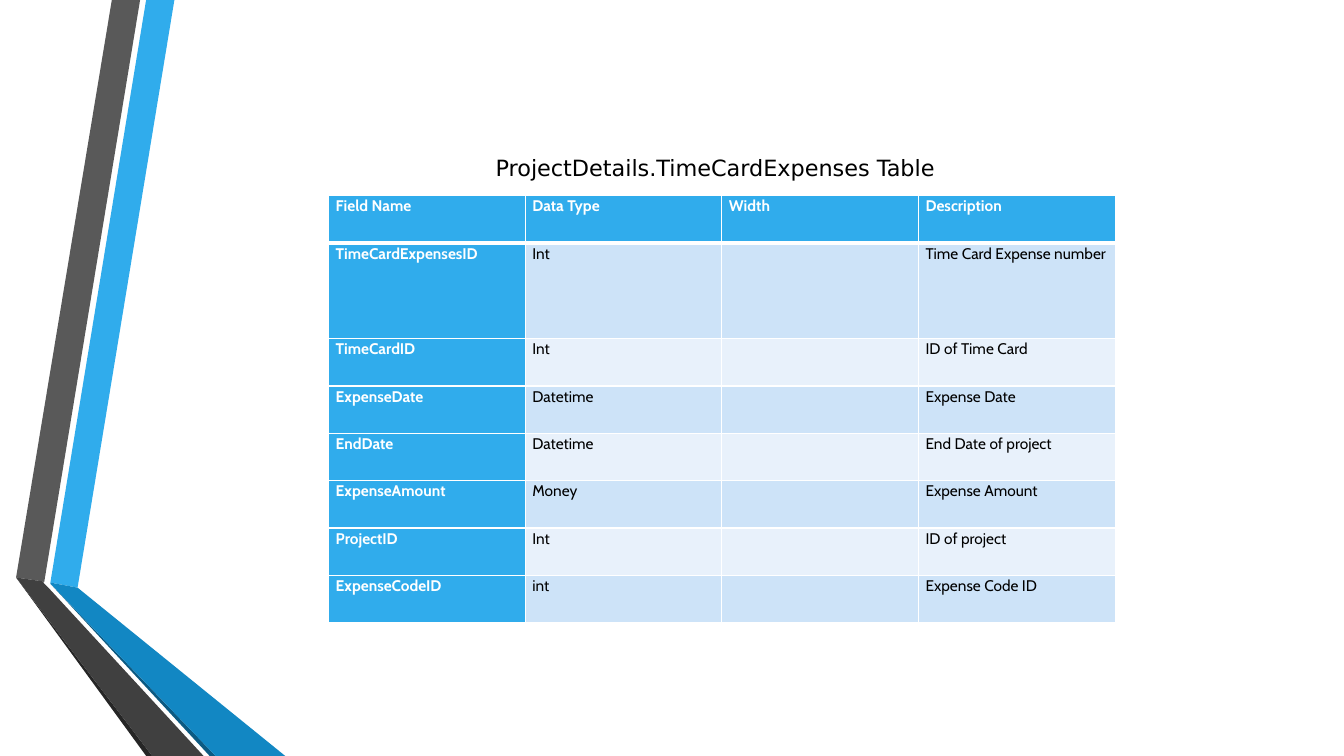
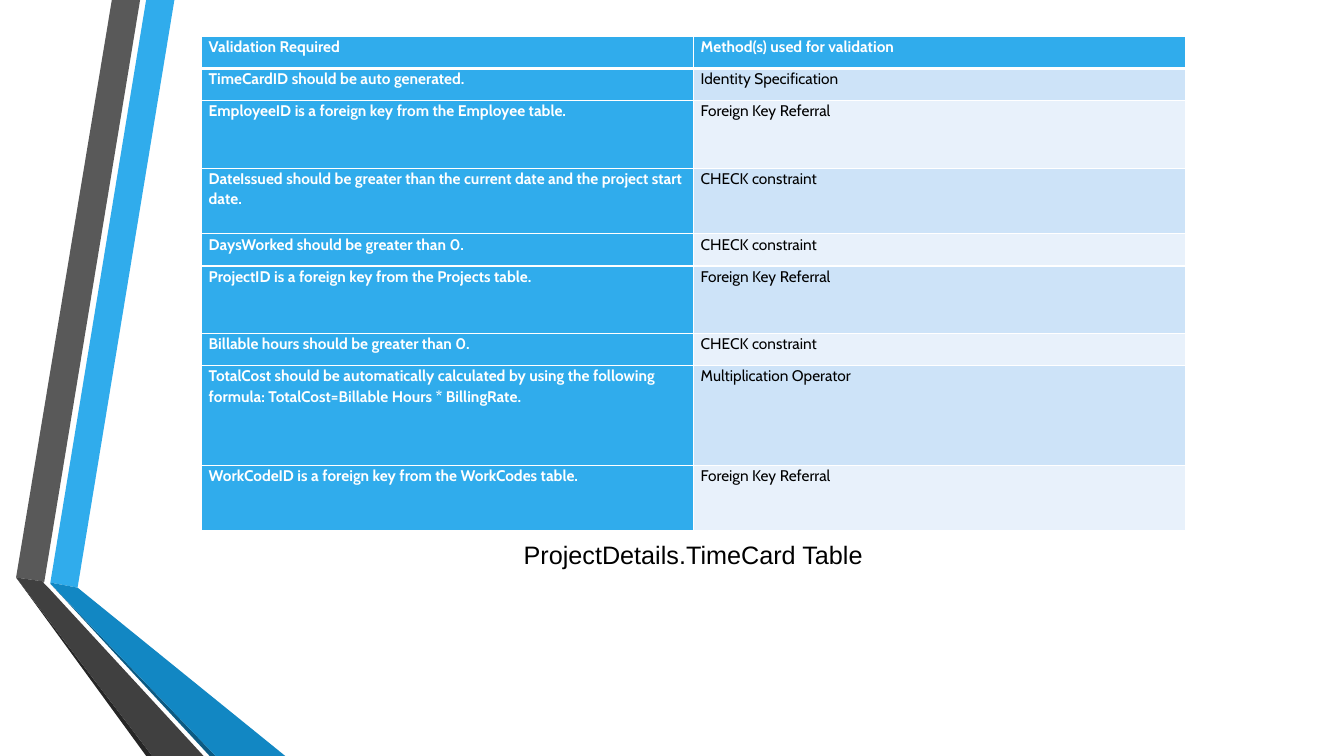
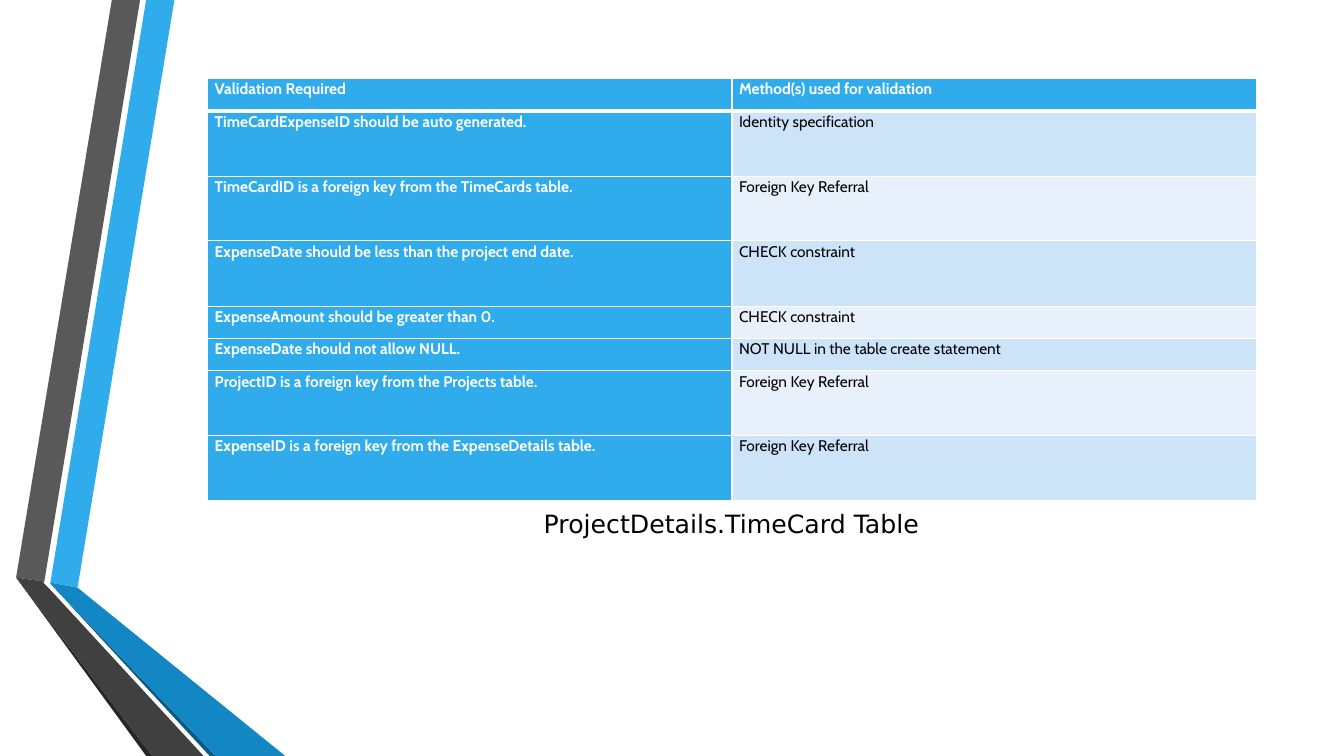
from lxml.etree import SubElement
from pptx import Presentation
from pptx.dml.color import RGBColor as RGB
from pptx.enum.text import MSO_AUTO_SIZE as AUTO, PP_ALIGN as ALIGN
from pptx.oxml.ns import qn
from pptx.util import Pt

PX = 9144
C = {
    "blue": "30ACEC", "blue_dark": "1287C3", "blue_deep": "0C5A82",
    "grey": "595959", "grey_dark": "404040", "grey_deep": "262626",
    "band_dark": "CDE3F8", "band_light": "E8F1FB",
    "white": "FFFFFF", "black": "000000",
}
RIBBONS = [
    ("blue", [(50, 578), (77, 583), (173, 0), (145, 0)]),
    ("grey", [(139, 0), (111, 0), (16, 573), (44, 577)]),
    ("grey_deep", [(16, 573), (145, 750), (151, 750)]),
    ("blue_deep", [(50, 579), (208, 750), (214, 750)]),
    ("blue_dark", [(50, 579), (214, 750), (283, 750), (77, 583), (50, 578)]),
    ("grey_dark", [(202, 750), (48, 583), (43, 578), (44, 577), (16, 573), (151, 750)]),
]
VALIDATION = ("Validation Required", "Method(s) used for validation")
FOREIGN = "Foreign Key Referral"
CHECK = "CHECK constraint"
SLIDES = [
    dict(
        title="ProjectDetails.TimeCardExpenses Table", font="DejaVu Sans", size=16,
        box=(326, 146, 767, 36), at=(326, 194), col=195,
        heights=[47, 95, 47, 47, 47, 47, 47, 47],
        rows=[
            ("Field Name", "Data Type", "Width", "Description"),
            ("TimeCardExpensesID", "Int", "", "Time Card Expense number"),
            ("TimeCardID", "Int", "", "ID of Time Card"),
            ("ExpenseDate", "Datetime", "", "Expense Date"),
            ("EndDate", "Datetime", "", "End Date of project"),
            ("ExpenseAmount", "Money", "", "Expense Amount"),
            ("ProjectID", "Int", "", "ID of project"),
            ("ExpenseCodeID", "int", "", "Expense Code ID"),
        ],
    ),
    dict(
        title="ProjectDetails.TimeCard Table", font="Arial", size=18,
        box=(200, 528, 975, 41), at=(200, 36), col=488,
        heights=[32, 32, 67, 65, 32, 67, 32, 99, 65],
        rows=[
            VALIDATION,
            ("TimeCardID should be auto generated.", "Identity Specification"),
            ("EmployeeID is a foreign key from the Employee table.", FOREIGN),
            ("DateIssued should be greater than the current date and the project start date.", CHECK),
            ("DaysWorked should be greater than 0.", CHECK),
            ("ProjectID is a foreign key from the Projects table.", FOREIGN),
            ("Billable hours should be greater than 0.", CHECK),
            ("TotalCost should be automatically calculated by using the following formula: "
             "TotalCost=Billable Hours * BillingRate.", "Multiplication Operator"),
            ("WorkCodeID is a foreign key from the WorkCodes table.", FOREIGN),
        ],
    ),
    dict(
        title="ProjectDetails.TimeCard Table", font="DejaVu Sans", size=18,
        box=(206, 497, 1039, 41), at=(206, 78), col=520,
        heights=[32, 65, 64, 65, 32, 32, 64, 65],
        rows=[
            VALIDATION,
            ("TimeCardExpenseID should be auto generated.", "Identity specification"),
            ("TimeCardID is a foreign key from the TimeCards table.", FOREIGN),
            ("ExpenseDate should be less than the project end date.", CHECK),
            ("ExpenseAmount should be greater than 0.", CHECK),
            ("ExpenseDate should not allow NULL.", "NOT NULL in the table create statement"),
            ("ProjectID is a foreign key from the Projects table.", FOREIGN),
            ("ExpenseID is a foreign key from the ExpenseDetails table.", FOREIGN),
        ],
    ),
]


def write(tf, text, font="Cabin", size=11, color="black", bold=False, align=ALIGN.LEFT, after=0):
    p = tf.paragraphs[0]
    p.alignment = align
    p.line_spacing = 1.07
    p.space_after = Pt(after)
    r = p.add_run()
    r.text = text
    r.font.name = font
    r.font.size = Pt(size)
    r.font.bold = bold
    r.font.color.rgb = RGB.from_string(C[color])


def border(cell, side, width):
    ln = SubElement(cell._tc.get_or_add_tcPr(), qn("a:ln" + side), w=str(Pt(width)))
    fill = SubElement(ln, qn("a:solidFill"))
    SubElement(fill, qn("a:srgbClr"), val=C["white"])


prs = Presentation()
prs.slide_width = 1333 * PX
prs.slide_height = 750 * PX

for page in SLIDES:
    s = prs.slides.add_slide(prs.slide_layouts[6])

    for color, points in RIBBONS:
        outline = s.shapes.build_freeform(*points[0], scale=PX)
        outline.add_line_segments(points[1:], close=True)
        sp = outline.convert_to_shape()
        sp.shadow.inherit = False
        sp.fill.solid()
        sp.fill.fore_color.rgb = RGB.from_string(C[color])
        sp.line.fill.background()

    rows, heights, col = page["rows"], page["heights"], page["col"]
    n = len(rows[0])
    left, top = page["at"]
    table = s.shapes.add_table(
        len(rows), n, left * PX, top * PX, n * col * PX, sum(heights) * PX).table
    for column in table.columns:
        column.width = col * PX
    for i, texts in enumerate(rows):
        table.rows[i].height = heights[i] * PX
        for j, text in enumerate(texts):
            cell = table.cell(i, j)
            cell.margin_left = cell.margin_right = 7 * PX
            cell.margin_top = cell.margin_bottom = 0
            for side in "LRTB":
                border(cell, side, 3 if (i, side) in [(0, "B"), (1, "T")] else 1)
            head = i == 0 or j == 0
            band = "band_dark" if i % 2 else "band_light"
            cell.fill.solid()
            cell.fill.fore_color.rgb = RGB.from_string(C["blue" if head else band])
            if text:
                write(cell.text_frame, text, color="white" if head else "black", bold=head)

    tf = s.shapes.add_textbox(*[v * PX for v in page["box"]]).text_frame
    tf.word_wrap = True
    tf.auto_size = AUTO.SHAPE_TO_FIT_TEXT
    write(tf, page["title"], font=page["font"], size=page["size"], align=ALIGN.CENTER, after=8)

prs.save("out.pptx")
